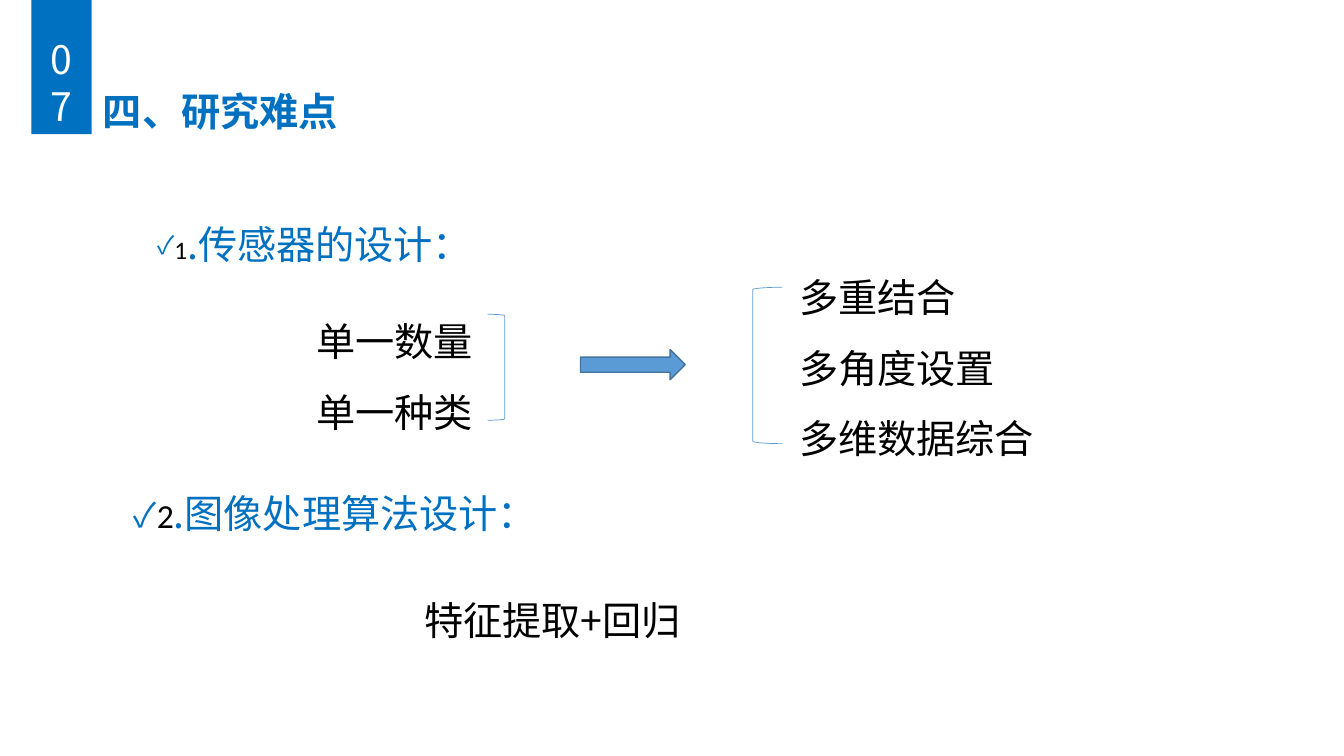
import pptx
import pptx.util
import pptx.dml.color
import pptx.enum.shapes
import pptx.enum.text
import pptx.oxml
import pptx.oxml.ns

Cm, Pt = pptx.util.Cm, pptx.util.Pt
RGB = pptx.dml.color.RGBColor
MSO = pptx.enum.shapes.MSO_SHAPE
ALIGN = pptx.enum.text.PP_ALIGN
ANCHOR = pptx.enum.text.MSO_ANCHOR
AUTO = pptx.enum.text.MSO_AUTO_SIZE

BLUE = RGB(0x00, 0x70, 0xC0)
SKY = RGB(0x5B, 0x9B, 0xD5)
NAVY = RGB(0x43, 0x73, 0x9E)
BLACK = RGB(0, 0, 0)
WHITE = RGB(255, 255, 255)
LATIN, CJK = "Calibri", "Noto Sans CJK SC"


class Deck:
    """Holds the text style and the current slide."""
    size = 28

    def __init__(self, s):
        self.s = s

    def place(self, sp, box):
        for name, value in zip(("left", "top", "width", "height"), box):
            setattr(sp, name, Cm(value))

    def fill_text(self, tf, lines, align=ALIGN.LEFT, anchor=ANCHOR.TOP, spacing=1.5):
        """Each line is a list of (text, font values) runs."""
        frame = {"word_wrap": True, "auto_size": AUTO.NONE, "vertical_anchor": anchor}
        for name, value in frame.items():
            setattr(tf, name, value)
        for i, runs in enumerate(lines):
            p = tf.paragraphs[0] if i == 0 else tf.add_paragraph()
            values = {"alignment": align, "line_spacing": spacing, "space_before": Pt(0)}
            for name, value in values.items():
                setattr(p, name, value)
            for text, font in runs:
                r = p.add_run()
                r.text = text
                font = {"name": CJK, "size": self.size, "color": BLACK, "bold": False, **font}
                r.font.color.rgb = font.pop("color")
                font["size"] = Pt(font["size"])
                for name, value in font.items():
                    setattr(r.font, name, value)
                ea = pptx.oxml.parse_xml(
                    f'<a:ea {pptx.oxml.ns.nsdecls("a")} typeface="{CJK}"/>')
                r._r.get_or_add_rPr().append(ea)

    def title(self, text, box):
        sp = self.s.shapes.title
        self.place(sp, box)
        self.fill_text(sp.text_frame, [[(text, {"name": LATIN, "color": BLUE, "bold": True})]],
                       anchor=ANCHOR.MIDDLE, spacing=0.9)

    def heading(self, idx, number, size, text, box):
        """Ticked list item in a body placeholder."""
        sp = self.s.placeholders[idx]
        self.place(sp, box)
        self.fill_text(sp.text_frame, [[(number, {"name": LATIN, "size": size}),
                                        (text, {"color": BLUE})]])
        pPr = sp.text_frame.paragraphs[0]._p.get_or_add_pPr()
        for name in ("marL", "indent"):
            pPr.set(name, "0")
        for xml in (f'<a:buClr %s><a:srgbClr val="{BLUE}"/></a:buClr>',
                    f'<a:buFont %s typeface="{CJK}"/>', '<a:buChar %s char="✓"/>'):
            pPr.append(pptx.oxml.parse_xml(xml % pptx.oxml.ns.nsdecls("a")))

    def text(self, lines, box):
        sp = self.s.shapes.add_textbox(*map(Cm, box))
        self.fill_text(sp.text_frame, [[(line, {})] for line in lines])

    def shape(self, kind, box, fill=None, line=None, width=0.5):
        sp = self.s.shapes.add_shape(kind, *map(Cm, box))
        sp.shadow.inherit = False
        if fill is None:
            sp.fill.background()
        else:
            sp.fill.solid()
            sp.fill.fore_color.rgb = fill
        if line is None:
            sp.line.fill.background()
        else:
            sp.line.color.rgb = line
            sp.line.width = Pt(width)
        return sp


prs = pptx.Presentation()
prs.slide_width, prs.slide_height = Cm(33.87), Cm(19.05)
deck = Deck(prs.slides.add_slide(prs.slide_layouts[3]))

# Title and page badge
deck.title("四、研究难点", (2.34, 1.02, 29.21, 3.68))
badge = deck.shape(MSO.ROUNDED_RECTANGLE, (0.79, 0, 1.52, 3.38), fill=BLUE)
badge.adjustments[0] = 0
deck.fill_text(badge.text_frame, [[("07", {"color": WHITE})]],
               align=ALIGN.CENTER, anchor=ANCHOR.BOTTOM, spacing=1)

# Sensor design: from single to multiple
deck.heading(1, "1", 18, ".传感器的设计：", (3.71, 4.83, 9.7, 4.37))
deck.text(["单一数量", "单一种类"], (7.72, 7.29, 4.75, 3.84))
deck.shape(MSO.RIGHT_BRACKET, (12.29, 7.92, 0.43, 2.67), line=SKY)
deck.shape(MSO.RIGHT_ARROW, (14.63, 8.81, 2.64, 0.76), fill=SKY, line=NAVY, width=1)
deck.shape(MSO.LEFT_BRACKET, (18.97, 7.24, 0.74, 3.94), line=SKY)
deck.text(["多重结合", "多角度设置", "多维数据综合"], (19.89, 6.17, 7.14, 5.64))

# Image processing algorithm
deck.heading(2, "2", 24, ".图像处理算法设计：", (3.12, 11.61, 11.54, 2.06))
deck.text(["特征提取+回归"], (10.44, 14.3, 9.42, 1.83))

prs.save("out.pptx")
